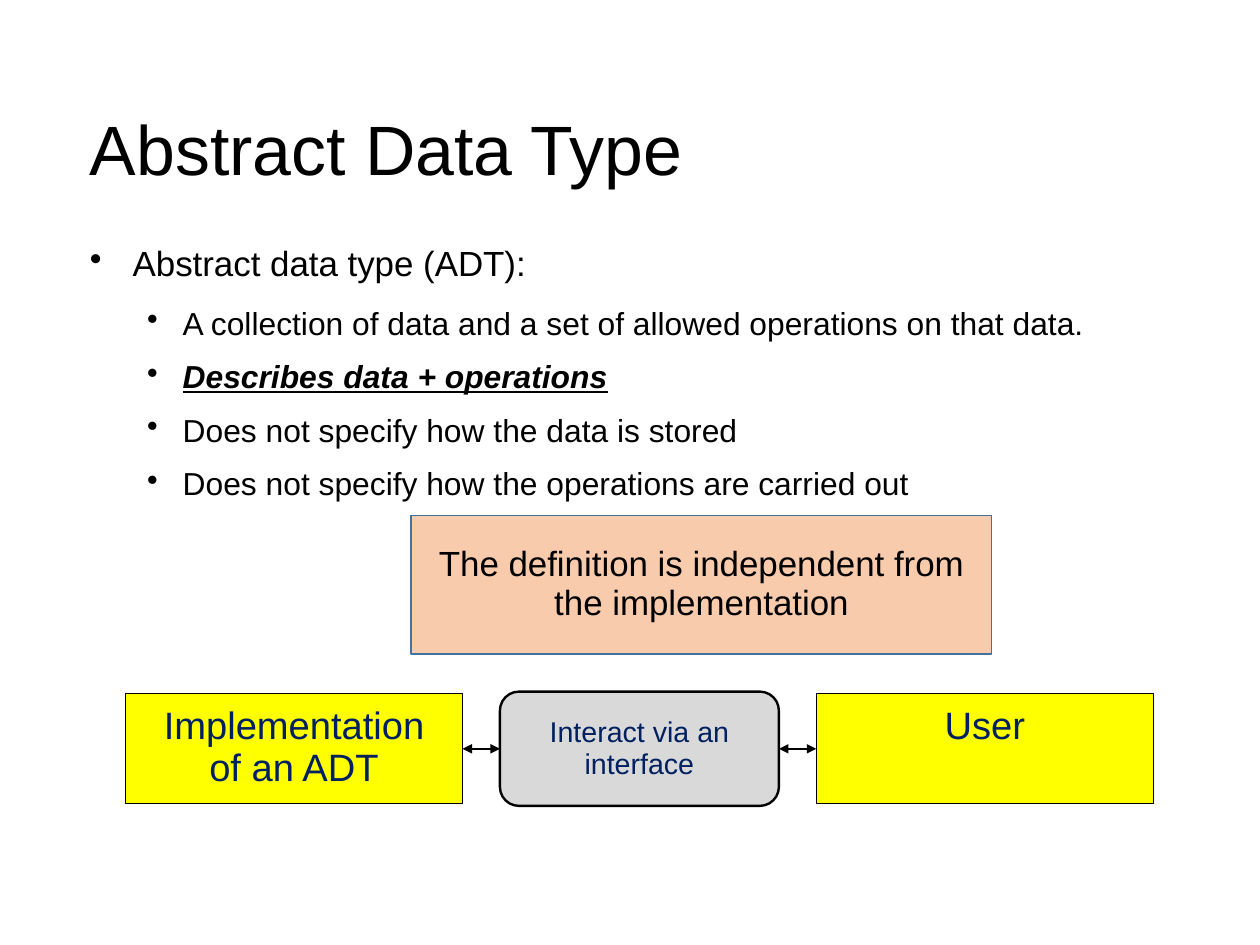
from dataclasses import dataclass
from pptx import Presentation
from pptx.dml.color import RGBColor
from pptx.enum.shapes import MSO_CONNECTOR, MSO_SHAPE
from pptx.enum.text import MSO_ANCHOR, PP_ALIGN
from pptx.oxml.ns import qn
from pptx.util import Cm, Pt
from lxml.etree import SubElement

# Content
TITLE = "Abstract Data Type"
# level, text, emphasised
BULLETS = [
    (0, "Abstract data type (ADT):", False),
    (1, "A collection of data and a set of allowed operations on that data.", False),
    (1, "Describes data + operations", True),
    (1, "Does not specify how the data is stored", False),
    (1, "Does not specify how the operations are carried out", False),
]
NOTE = "The definition is independent from the implementation"
# kind, text; a \v is a line break
CHAIN = [
    ("party", "Implementation\vof an ADT"),
    ("interface", "Interact via an interface"),
    ("party", "User"),
]


@dataclass(frozen=True)
class Theme:
    font: str = "Arial"
    black: str = "000000"
    navy: str = "002060"
    yellow: str = "FFFF00"
    grey: str = "D9D9D9"
    peach: str = "F8CBAD"
    blue: str = "43729D"
    title: float = 44
    party: float = 24
    body: float = 22
    sub: float = 20
    interface: float = 18
    spacing: float = 0.93


T = Theme()
# preset, width, height, fill, line width, text size, anchor
STYLES = {
    "party": (MSO_SHAPE.RECTANGLE, 7.49, 2.44, T.yellow, 0.75, T.party, MSO_ANCHOR.TOP),
    "interface": (MSO_SHAPE.ROUNDED_RECTANGLE, 6.2, 2.54, T.grey, 1.5, T.interface,
                  MSO_ANCHOR.MIDDLE),
}
# size, left indent, hanging indent (cm), space after, by level
LEVELS = [(T.body, 0.95, 0.95, 14.2), (T.sub, 2.06, 0.79, 11.4)]
CHAIN_LEFT, CHAIN_MIDDLE, CHAIN_GAP = 2.79, 16.64, 0.83


def frame(shape, anchor, left, top, right, bottom):
    tf = shape.text_frame
    tf.word_wrap = True
    tf.vertical_anchor = anchor
    tf.margin_left, tf.margin_top = Cm(left), Cm(top)
    tf.margin_right, tf.margin_bottom = Cm(right), Cm(bottom)
    return tf


def write(p, text, size, color=T.black, align=PP_ALIGN.LEFT):
    p.text = text
    p.alignment = align
    p.line_spacing = T.spacing
    p.font.name, p.font.size = T.font, Pt(size)
    p.font.color.rgb = RGBColor.from_string(color)


def add_bullet(p, left, hanging):
    pPr = p._p.get_or_add_pPr()
    pPr.set("marL", str(Cm(left)))
    pPr.set("indent", str(-Cm(hanging)))
    bullet = pPr.makeelement(qn("a:buChar"), {"char": "•"})
    pPr.insert_element_before(bullet, "a:tabLst", "a:defRPr", "a:extLst")


def add_box(s, preset, x, y, w, h, fill, line, width):
    sp = s.shapes.add_shape(preset, Cm(x), Cm(y), Cm(w), Cm(h))
    sp.shadow.inherit = False
    sp.fill.solid()
    sp.fill.fore_color.rgb = RGBColor.from_string(fill)
    sp.line.color.rgb = RGBColor.from_string(line)
    sp.line.width = Pt(width)
    return sp


def add_double_arrow(s, start, end):
    c = s.shapes.add_connector(MSO_CONNECTOR.STRAIGHT, 0, 0, 0, 0)
    c.begin_connect(start, 3)
    c.end_connect(end, 1)
    c.line.color.rgb = RGBColor.from_string(T.black)
    c.line.width = Pt(1.5)
    ln = c.line._get_or_add_ln()
    for tag in ("a:headEnd", "a:tailEnd"):
        SubElement(ln, qn(tag), type="triangle")
    SubElement(c._element.spPr, qn("a:effectLst"))


def main():
    prs = Presentation()
    prs.slide_width, prs.slide_height = Cm(28), Cm(21)
    s = prs.slides.add_slide(prs.slide_layouts[6])

    # Title
    sp = s.shapes.add_textbox(Cm(2), Cm(1.9), Cm(23.5), Cm(2.85))
    tf = frame(sp, MSO_ANCHOR.MIDDLE, 0, 0.1, 0, 0)
    write(tf.paragraphs[0], TITLE, T.title)

    # Bullet list
    sp = s.shapes.add_textbox(Cm(2), Cm(5.4), Cm(24.6), Cm(13.36))
    tf = frame(sp, MSO_ANCHOR.TOP, 0, 0.05, 0, 0)
    for i, (level, text, strong) in enumerate(BULLETS):
        p = tf.add_paragraph() if i else tf.paragraphs[0]
        size, left, hanging, after = LEVELS[level]
        write(p, text, size)
        p.level = level
        p.space_after = Pt(after)
        p.font.bold = p.font.italic = p.font.underline = strong
        add_bullet(p, left, hanging)

    # Implementation, interface and user, side by side
    boxes, x = [], CHAIN_LEFT
    for kind, text in CHAIN:
        preset, w, h, fill, width, size, anchor = STYLES[kind]
        sp = add_box(s, preset, x, CHAIN_MIDDLE - h / 2, w, h, fill, T.black, width)
        tf = frame(sp, anchor, 0.25, 0.25, 0.25, 0.25)
        write(tf.paragraphs[0], text, size, T.navy, PP_ALIGN.CENTER)
        boxes.append(sp)
        x += w + CHAIN_GAP
    for start, end in zip(boxes, boxes[1:]):
        add_double_arrow(s, start, end)

    # Note on independence
    sp = add_box(s, MSO_SHAPE.RECTANGLE, 9.14, 11.46, 12.9, 3.07, T.peach, T.blue, 1)
    tf = frame(sp, MSO_ANCHOR.MIDDLE, 0.25, 0.13, 0.25, 0.13)
    write(tf.paragraphs[0], NOTE, T.body, align=PP_ALIGN.CENTER)

    prs.save("out.pptx")


if __name__ == "__main__":
    main()
